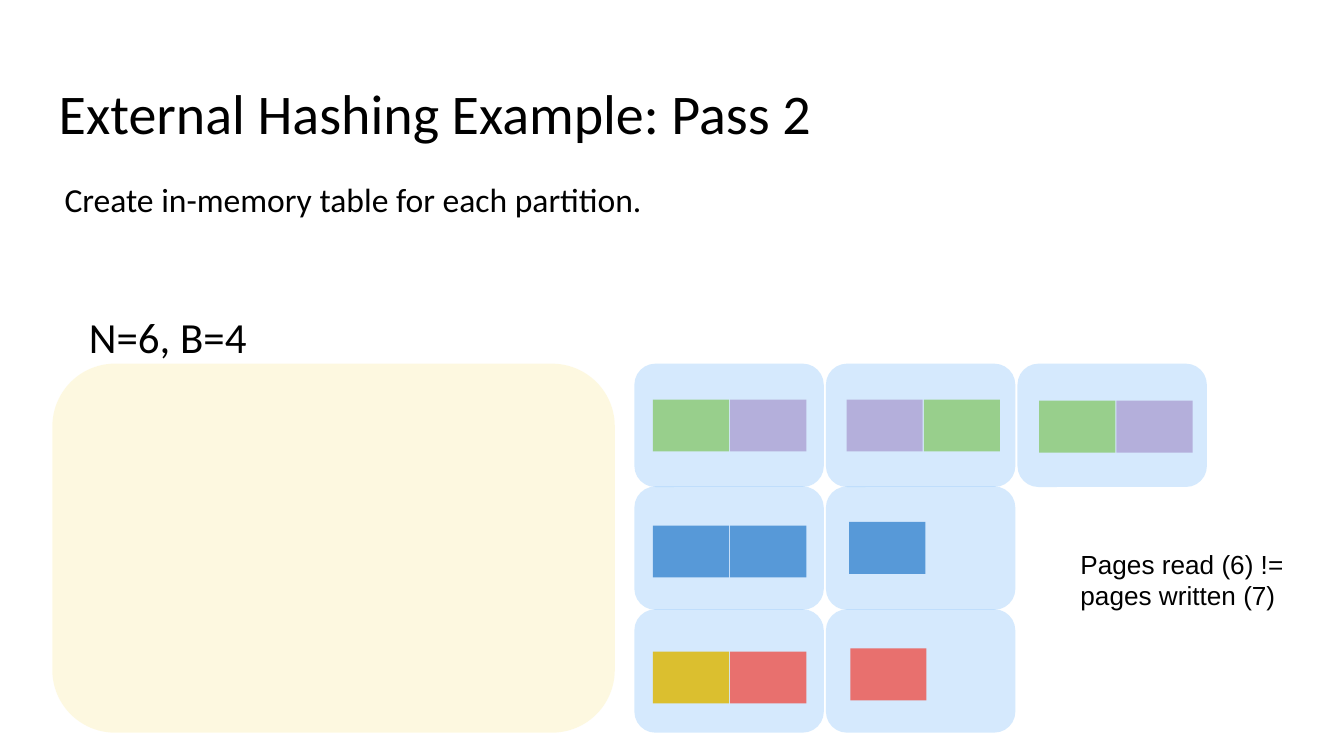
from typing import NamedTuple

from lxml import etree
from pptx import Presentation
from pptx.dml.color import RGBColor
from pptx.enum import shapes, text
from pptx.oxml.ns import qn
from pptx.util import Cm, Pt

COLORS = {"buffer": "F5D328", "page": "51A7F9", "green": "70BF41",
          "purple": "773F9B", "blue": "0365C0", "gold": "DCBD23",
          "red": "EC5D57", "ink": "000000"}
ALPHA = {"buffer": 14, "page": 24, "green": 60, "purple": 34,
         "blue": 60, "gold": 94, "red": 86}
ROUND = shapes.MSO_SHAPE.ROUNDED_RECTANGLE
PLAIN = shapes.MSO_SHAPE.RECTANGLE

LEFT, TOP = 11.99, 6.87          # corner of the page grid, in cm
STEP_X, STEP_Y = 3.62, 2.32
PAGE_W, PAGE_H = 3.58, 2.33
CELL_W, CELL_H, CELL_STEP = 1.44, 0.98, 1.46


class Box(NamedTuple):
    left: float
    top: float
    width: float
    height: float


class Page(NamedTuple):
    col: int
    row: int
    x: float     # first record, in cm
    y: float
    cells: tuple[str, ...]


class Label(NamedTuple):
    words: str
    box: Box
    size: int
    font: str
    inset: float = 0.0
    anchor: text.MSO_ANCHOR = text.MSO_ANCHOR.TOP


PAGES = [
    Page(0, 0, 12.34, 7.55, ("green", "purple")),
    Page(1, 0, 16.0, 7.55, ("purple", "green")),
    Page(2, 0, 19.64, 7.57, ("green", "purple")),
    Page(0, 1, 12.34, 9.93, ("blue", "blue")),
    Page(1, 1, 16.05, 9.86, ("blue",)),
    Page(0, 2, 12.34, 12.31, ("gold", "red")),
    Page(1, 2, 16.07, 12.25, ("red",)),
]
TITLE = Label("External Hashing Example: Pass 2",
              Box(0.86, 1.24, 23.67, 1.6), 30, "Calibri", 0.25)
LABELS = [
    Label("Create in-memory table for each partition.",
          Box(1.22, 2.97, 16.69, 1.6), 18, "Calibri",
          anchor=text.MSO_ANCHOR.MIDDLE),
    Label("N=6, B=4", Box(1.68, 5.87, 3.33, 0.99), 23, "Calibri"),
    Label("Pages read (6) != pages written (7)",
          Box(20.17, 10.11, 4.37, 3.12), 14, "Arial", 0.25),
]


def draw_block(slide, kind: shapes.MSO_SHAPE, box: Box, tint: str) -> None:
    shape = slide.shapes.add_shape(kind, *map(Cm, box))
    shape.shadow.inherit = False
    shape.line.fill.background()
    if kind == ROUND:
        shape.adjustments[0] = 0.17
    shape.fill.solid()
    shape.fill.fore_color.rgb = RGBColor.from_string(COLORS[tint])
    color = shape.fill._xPr.find(".//" + qn("a:srgbClr"))
    etree.SubElement(color, qn("a:alpha"), val=str(ALPHA[tint] * 1000))


def draw_page(slide, page: Page) -> None:
    draw_block(slide, ROUND, Box(LEFT + page.col * STEP_X,
                                 TOP + page.row * STEP_Y,
                                 PAGE_W, PAGE_H), "page")
    for i, tint in enumerate(page.cells):
        draw_block(slide, PLAIN, Box(page.x + i * CELL_STEP, page.y,
                                     CELL_W, CELL_H), tint)


def write_label(shape, label: Label) -> None:
    for name, value in label.box._asdict().items():
        setattr(shape, name, Cm(value))
    frame = shape.text_frame
    frame.text = label.words
    inset = Cm(label.inset)
    style = {"word_wrap": True, "auto_size": text.MSO_AUTO_SIZE.NONE,
             "vertical_anchor": label.anchor,
             "margin_left": inset, "margin_right": inset,
             "margin_top": inset, "margin_bottom": inset}
    for name, value in style.items():
        setattr(frame, name, value)
    line = frame.paragraphs[0]
    line.alignment = text.PP_ALIGN.LEFT
    font = line.runs[0].font
    font.name, font.size = label.font, Pt(label.size)
    font.color.rgb = RGBColor.from_string(COLORS["ink"])


def main() -> None:
    deck = Presentation()
    deck.slide_width, deck.slide_height = Cm(25.4), Cm(14.28)
    slide = deck.slides.add_slide(deck.slide_layouts[5])
    write_label(slide.shapes.title, TITLE)
    draw_block(slide, ROUND, Box(0.99, 6.87, 10.63, 6.97), "buffer")
    for page in PAGES:
        draw_page(slide, page)
    for label in LABELS:
        write_label(slide.shapes.add_textbox(*map(Cm, label.box)), label)
    deck.save("out.pptx")


if __name__ == "__main__":
    main()
